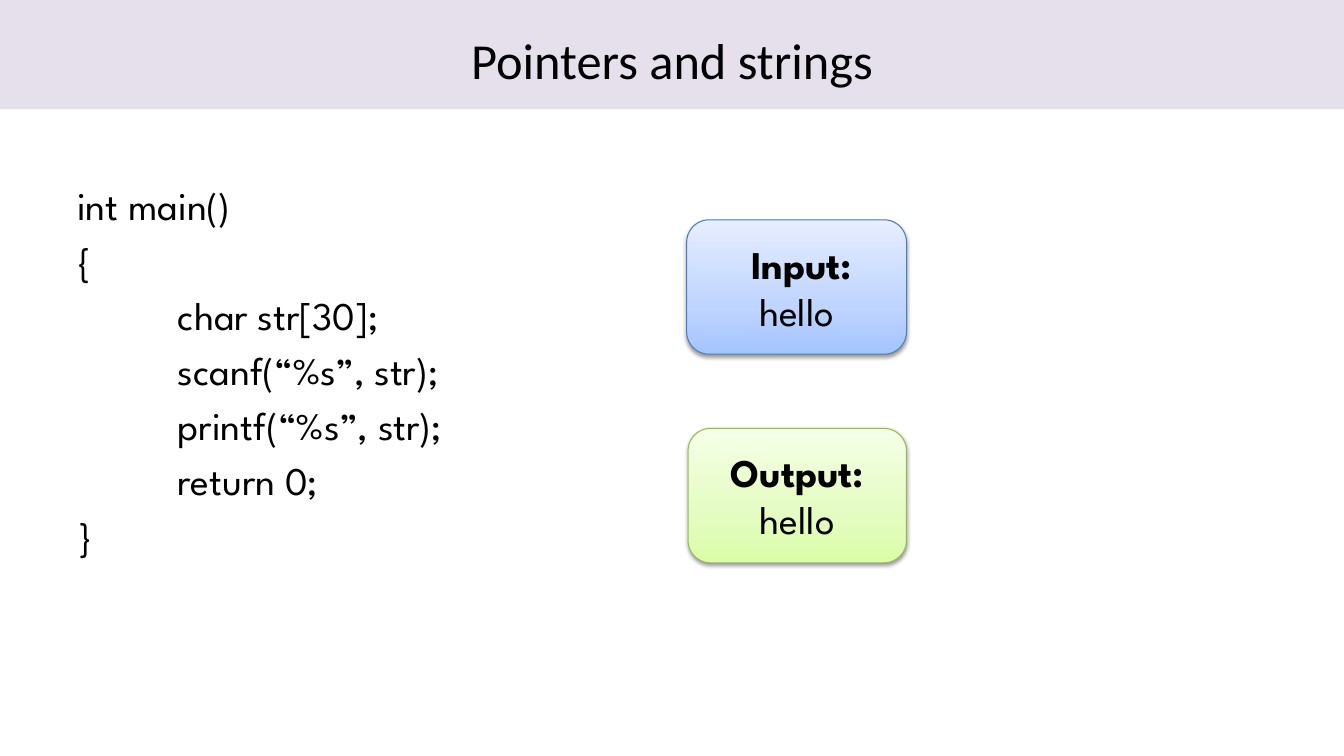
from lxml import etree
from pptx import Presentation
from pptx.dml.color import RGBColor
from pptx.enum.shapes import MSO_SHAPE
from pptx.enum.text import MSO_ANCHOR, PP_ALIGN
from pptx.oxml.ns import qn
from pptx.util import Pt

RECT, ROUNDED = MSO_SHAPE.RECTANGLE, MSO_SHAPE.ROUNDED_RECTANGLE
TOP, MIDDLE = MSO_ANCHOR.TOP, MSO_ANCHOR.MIDDLE
CENTER, JUSTIFY = PP_ALIGN.CENTER, PP_ALIGN.JUSTIFY

COLORS = {"text": "000000", "banner": "E6E0EC", "shadow": "000000",
          "input_line": "4B7EBC", "output_line": "98B955"}
GRADIENTS = {"input": ("A4C4FF", "BFD4FF", "E6EEFF"),
             "output": ("DAFDA7", "E4FCC2", "F5FFE7")}
STOPS = (0, 35, 100)
BODY = {"name": "League Spartan", "size": Pt(28), "bold": False}
HEADING = {**BODY, "bold": True}
TITLE = {"name": "Calibri", "size": Pt(36)}

CODE = ["int main()", "{", "\tchar str[30];", "\tscanf(“%s”, str);",
        "\tprintf(“%s”, str);", "\treturn 0;", "}"]


def rgb(name):
    return RGBColor.from_string(COLORS[name])


def write(sp, lines, align, anchor, space=0, spacing=None):
    """Fill a shape with (text, font format) lines, one paragraph each."""
    tf = sp.text_frame
    tf.word_wrap = True
    tf.vertical_anchor = anchor
    for i, (text, fmt) in enumerate(lines):
        p = tf.paragraphs[0] if i == 0 else tf.add_paragraph()
        p.alignment = align
        p.line_spacing = spacing
        if i:
            p.space_before = Pt(space)
        r = p.add_run()
        r.text = text
        for key, value in fmt.items():
            setattr(r.font, key, value)
        r.font.color.rgb = rgb("text")


def add_color(parent, hex_color):
    return etree.SubElement(parent, qn("a:srgbClr"), val=hex_color)


def add_gradient(sp, colors):
    """Blend the colours from the bottom edge to the top edge."""
    sp.fill.gradient()
    sp.fill.gradient_angle = 90
    stops = next(sp.element.spPr.iter(qn("a:gsLst")))
    for gs in list(stops):
        stops.remove(gs)
    for pos, color in zip(STOPS, colors):
        add_color(etree.SubElement(stops, qn("a:gs"), pos=str(pos * 1000)), color)


def add_shadow(sp):
    effects = sp.element.spPr.find(qn("a:effectLst"))
    shadow = etree.SubElement(effects, qn("a:outerShdw"), blurRad=str(Pt(3.1)),
                              dist=str(Pt(1.6)), dir="5400000", rotWithShape="0")
    color = add_color(shadow, COLORS["shadow"])
    etree.SubElement(color, qn("a:alpha"), val="38000")


def add_banner(slide, x, y, w, h, title):
    sp = slide.shapes.add_shape(RECT, Pt(x), Pt(y), Pt(w), Pt(h))
    sp.shadow.inherit = False
    sp.fill.solid()
    sp.fill.fore_color.rgb = rgb("banner")
    sp.line.fill.background()
    write(sp, [(title, TITLE)], CENTER, MIDDLE, spacing=1.15)


def add_code(slide, x, y, w, h, code):
    sp = slide.shapes.add_textbox(Pt(x), Pt(y), Pt(w), Pt(h))
    write(sp, [(line, BODY) for line in code], JUSTIFY, TOP, space=5.6)
    # One tab stop sets the code indent
    for pPr in sp.element.iter(qn("a:pPr")):
        tabs = etree.SubElement(pPr, qn("a:tabLst"))
        etree.SubElement(tabs, qn("a:tab"), pos=str(Pt(72)), algn="l")


def add_card(slide, x, y, w, h, kind, heading, value):
    sp = slide.shapes.add_shape(ROUNDED, Pt(x), Pt(y), Pt(w), Pt(h))
    sp.shadow.inherit = False
    add_gradient(sp, GRADIENTS[kind])
    add_shadow(sp)
    sp.line.color.rgb = rgb(kind + "_line")
    sp.line.width = Pt(0.75)
    write(sp, [(heading, HEADING), (value, BODY)], CENTER, MIDDLE)


def main():
    prs = Presentation()
    prs.slide_width, prs.slide_height = Pt(960), Pt(540)
    slide = prs.slides.add_slide(prs.slide_layouts[6])

    # Code listing on the left
    add_code(slide, 48, 126, 424, 356, CODE)

    # Input and output cards on the right
    add_card(slide, 490.5, 157, 157, 96, "input", " Input:", "hello")
    add_card(slide, 491.5, 306, 156, 96, "output", "Output:", "hello")

    # Title banner
    add_banner(slide, 0, 0, 960, 78, "Pointers and strings")

    prs.save("out.pptx")


if __name__ == "__main__":
    main()
